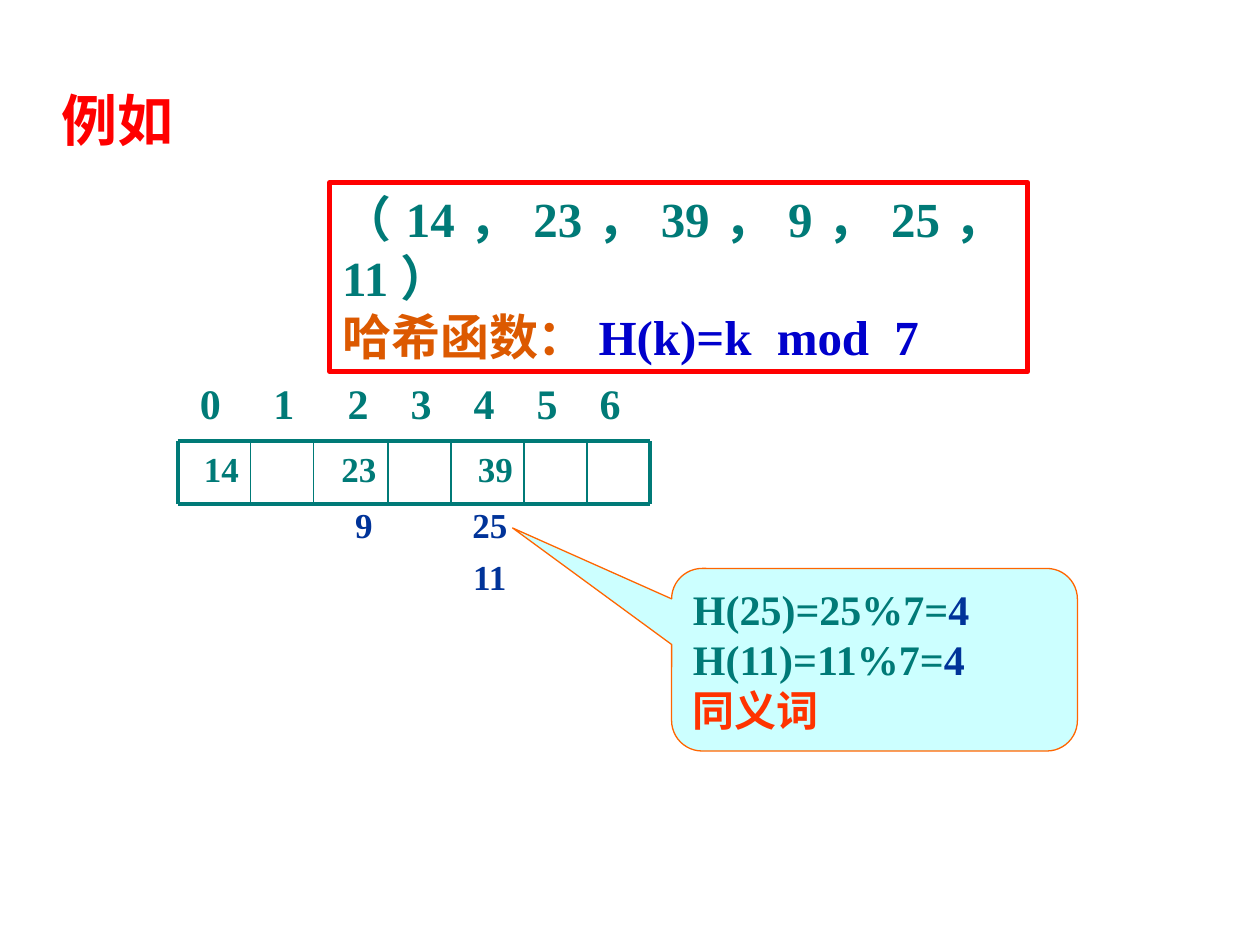
from lxml import etree
from pptx import Presentation
from pptx.dml.color import RGBColor
from pptx.enum import shapes, text
from pptx.oxml.ns import qn
from pptx.util import Cm, Pt

LATIN, CJK = "Times New Roman", "Noto Sans CJK SC"
RED = RGBColor(0xFF, 0x00, 0x00)
TEAL = RGBColor(0x00, 0x7A, 0x77)
ORANGE = RGBColor(0xDC, 0x59, 0x00)
BLUE = RGBColor(0x00, 0x00, 0xCC)
NAVY = RGBColor(0x00, 0x33, 0x99)
VERMILION = RGBColor(0xFF, 0x33, 0x00)
PALE_CYAN = RGBColor(0xCC, 0xFF, 0xFF)
CALLOUT_EDGE = RGBColor(0xFF, 0x66, 0x00)


def write(shape, lines, size, align=text.PP_ALIGN.LEFT, tabs=()):
    """Fill a shape with lines of (wording, colour) runs; tabs are in cm."""
    frame = shape.text_frame
    frame.word_wrap = True
    for number, line in enumerate(lines):
        para = frame.add_paragraph() if number else frame.paragraphs[0]
        para.alignment = align
        if tabs:
            stops = etree.SubElement(para._p.get_or_add_pPr(), qn("a:tabLst"))
            for stop in tabs:
                etree.SubElement(stops, qn("a:tab"), pos=str(Cm(stop)), algn="l")
        for wording, colour in line:
            span = para.add_run()
            span.text = wording
            span.font.size = Pt(size)
            span.font.bold = True
            span.font.color.rgb = colour
            span.font.name = LATIN
            etree.SubElement(span._r.get_or_add_rPr(), qn("a:ea"), typeface=CJK)


def rule(page, x1, y1, x2, y2, width):
    line = page.shapes.add_connector(
        shapes.MSO_CONNECTOR.STRAIGHT, Cm(x1), Cm(y1), Cm(x2), Cm(y2))
    line.line.color.rgb = TEAL
    line.line.width = Pt(width)
    etree.SubElement(line._element.spPr, qn("a:effectLst"))


deck = Presentation()
deck.slide_width, deck.slide_height = Cm(25.4), Cm(19.05)
page = deck.slides.add_slide(deck.slide_layouts[6])

# Keys and hash function
keys_box = page.shapes.add_shape(
    shapes.MSO_SHAPE.RECTANGLE, Cm(6.65), Cm(3.68), Cm(14.07), Cm(3.81))
keys_box.shadow.inherit = False
keys_box.fill.background()
keys_box.line.color.rgb = RED
keys_box.line.width = Pt(3)
write(keys_box, [
    [("（14，23，39，9，25，11）", TEAL)],
    [("哈希函数：", ORANGE), ("H(k)=k\tmod\t7", BLUE)],
], 28, text.PP_ALIGN.JUSTIFY, tabs=(8.76, 11.13))
keys_box.text_frame.auto_size = text.MSO_AUTO_SIZE.SHAPE_TO_FIT_TEXT

# Stored keys, with the colliding ones below their slots
for wording, left, top, colour in [
    ("14", 3.78, 8.89, TEAL),
    ("23", 6.55, 8.89, TEAL),
    ("39", 9.3, 8.89, TEAL),
    ("9", 6.65, 10.03, NAVY),
    ("25", 9.19, 10.03, NAVY),
    ("11", 9.19, 11.07, NAVY),
]:
    key = page.shapes.add_textbox(Cm(left), Cm(top), Cm(1.37), Cm(1.19))
    write(key, [[(wording, colour)]], 20, text.PP_ALIGN.CENTER)

# Synonym callout
callout = page.shapes.add_shape(
    shapes.MSO_SHAPE.ROUNDED_RECTANGULAR_CALLOUT,
    Cm(13.54), Cm(11.46), Cm(8.18), Cm(3.68))
for index, value in enumerate((-0.892, -0.722, 0.167)):
    callout.adjustments[index] = value
callout.shadow.inherit = False
callout.fill.solid()
callout.fill.fore_color.rgb = PALE_CYAN
callout.line.color.rgb = CALLOUT_EDGE
callout.line.width = Pt(0.75)
callout.text_frame.vertical_anchor = text.MSO_ANCHOR.TOP
write(callout, [
    [("H(25)=25%7=", TEAL), ("4", NAVY)],
    [("H(11)=11%7=", TEAL), ("4", NAVY)],
    [("同义词", VERMILION)],
], 24)

# Hash table: slot numbers above a row of seven slots
slot_numbers = page.shapes.add_textbox(Cm(3.58), Cm(7.49), Cm(9.73), Cm(1.27))
write(slot_numbers, [[("\t0\t1\t2\t3\t4\t5\t6", TEAL)]], 24,
      tabs=(0.2, 1.68, 3.18, 4.45, 5.72, 6.99, 8.26))

slot_edges = (3.58, 5.05, 6.32, 7.82, 9.09, 10.57, 11.84, 13.11)
first, last = slot_edges[0], slot_edges[-1]
row_top, row_bottom = 8.89, 10.16
for y in (row_top, row_bottom):
    rule(page, first, y, last, y, 2.25)
for x in slot_edges:
    rule(page, x, row_top, x, row_bottom, 2.25 if x in (first, last) else 1)

# Title
title = page.shapes.add_textbox(Cm(0.99), Cm(1.68), Cm(9.6), Cm(1.45))
title.text_frame.vertical_anchor = text.MSO_ANCHOR.MIDDLE
write(title, [[("例如", RED)]], 32)

deck.save("out.pptx")
